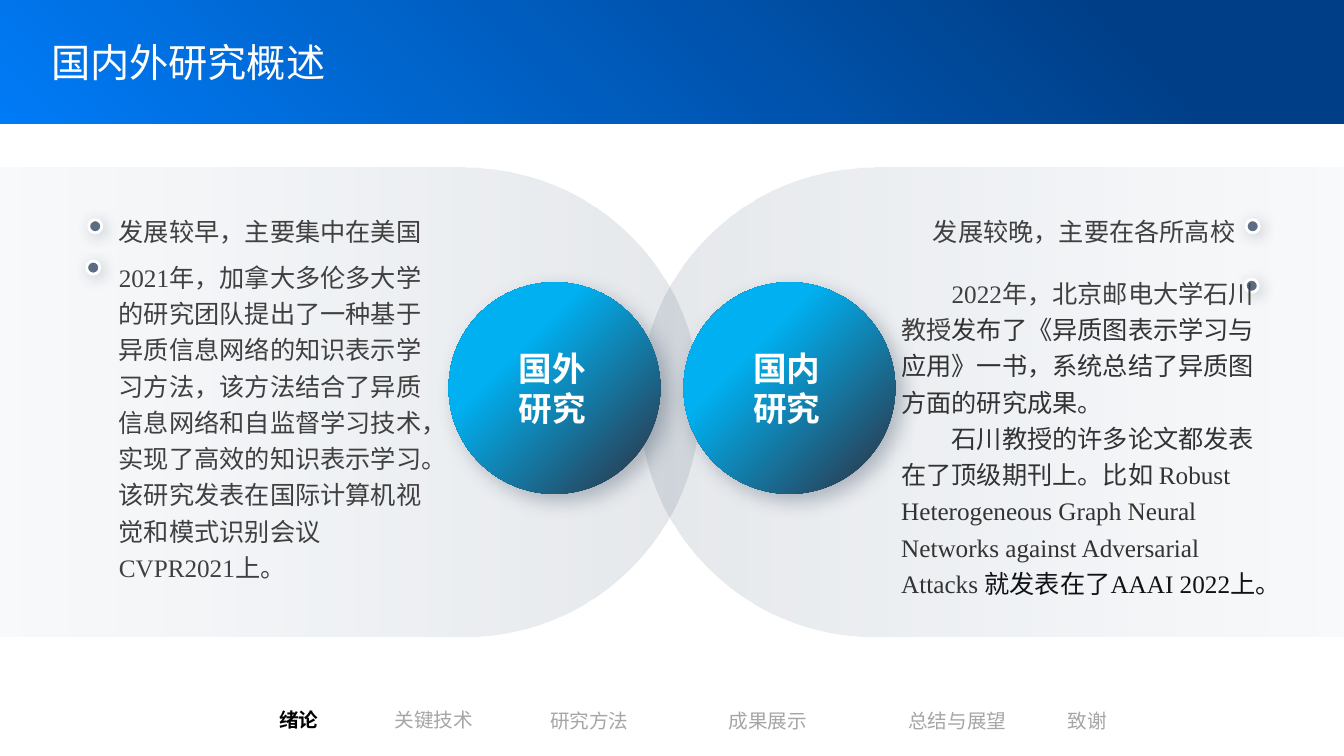
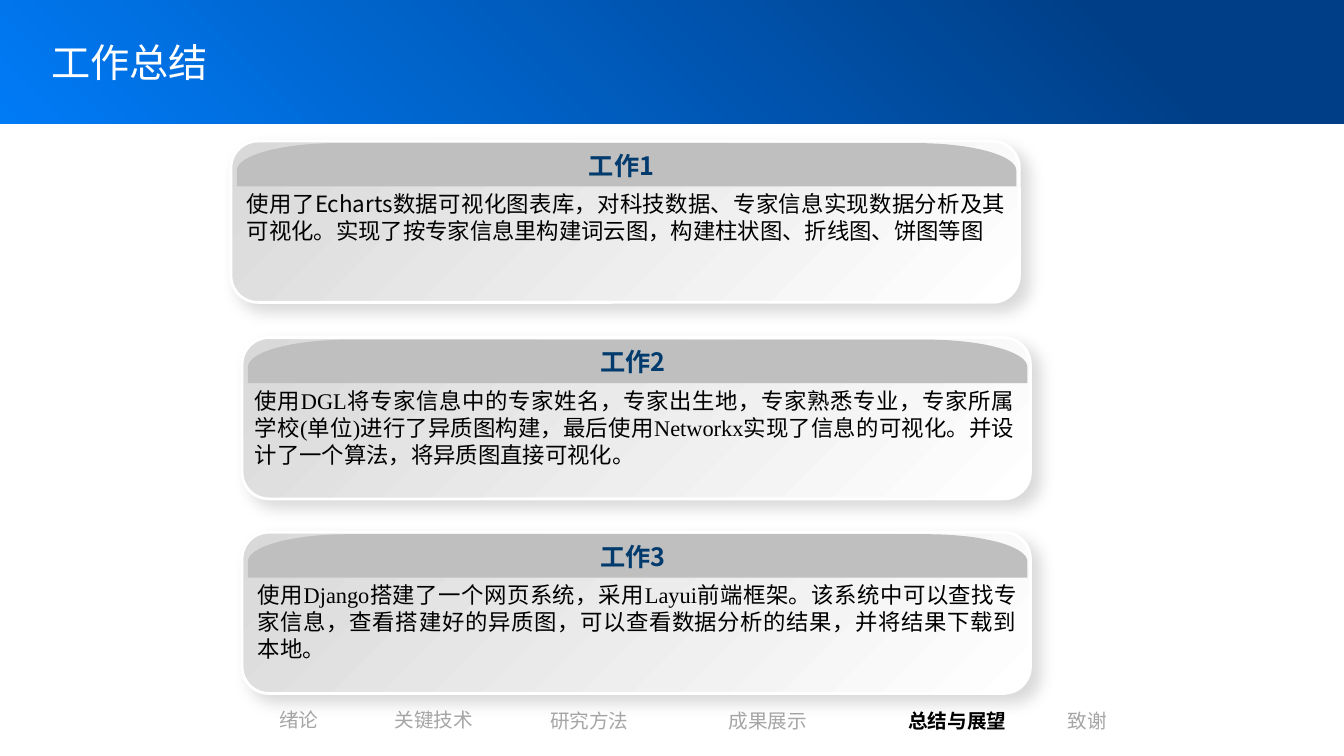
from dataclasses import dataclass
from math import cos, pi, sin

from pptx import Presentation
from pptx.dml.color import RGBColor
from pptx.enum.shapes import MSO_SHAPE
from pptx.enum.text import MSO_ANCHOR, MSO_AUTO_SIZE, PP_ALIGN
from pptx.oxml.ns import qn
from pptx.oxml.xmlchemy import OxmlElement
from pptx.util import Emu, Pt

RECTANGLE, ROUNDED, OVAL = MSO_SHAPE.RECTANGLE, MSO_SHAPE.ROUNDED_RECTANGLE, MSO_SHAPE.OVAL
LEFT, CENTER, RIGHT, JUSTIFY = PP_ALIGN.LEFT, PP_ALIGN.CENTER, PP_ALIGN.RIGHT, PP_ALIGN.JUSTIFY
TOP, MIDDLE = MSO_ANCHOR.TOP, MSO_ANCHOR.MIDDLE
FIT = MSO_AUTO_SIZE.SHAPE_TO_FIT_TEXT

EMU_PER_PX = 9144
SLIDE_WIDTH, SLIDE_HEIGHT = 1333, 750
SECTIONS = [("绪论", 267, 697), ("关键技术", 381, 697), ("研究方法", 535, 698),
            ("成果展示", 712, 698), ("总结与展望", 890, 698), ("致谢", 1049, 698)]


@dataclass(frozen=True)
class Theme:
    """Colours, fonts and type sizes."""
    white: str = "FFFFFF"
    black: str = "000000"
    band_dark: str = "003F88"
    band_light: str = "007BF6"
    panel_start: str = "6689B1"
    slate: str = "5B6C83"
    cyan: str = "00B0F0"
    navy: str = "2A3D52"
    body: str = "404040"
    quote: str = "333333"
    ink: str = "101214"
    muted: str = "A6A6A6"
    card_grey: str = "D9D9D9"
    cap_grey: str = "BFBFBF"
    heading: str = "013B6D"
    serif: str = "Times New Roman"
    sans: str = "Noto Sans CJK SC"
    title_font: str = "Arial"
    title_size: int = 28
    label_size: int = 24
    body_size: int = 18
    card_size: int = 16
    section_size: int = 14


THEME = Theme()


def px(length):
    """Turn pixels into EMU."""
    return Emu(round(length * EMU_PER_PX))


def rgb(colour):
    """Turn a hex string into a colour."""
    return RGBColor.from_string(colour)


def xml_child(parent, tag, **attributes):
    """Append an XML element with attributes."""
    child = OxmlElement(tag)
    for name, value in attributes.items():
        child.set(name, str(value))
    parent.append(child)
    return child


class Deck:
    """Holds the style, the current slide and the shapes being drawn into."""

    def __init__(self):
        """Start an empty presentation."""
        self.presentation = Presentation()
        self.presentation.slide_width = px(SLIDE_WIDTH)
        self.presentation.slide_height = px(SLIDE_HEIGHT)
        self.slide = None
        self.shapes = None

    def new_slide(self, title, title_font, section, section_font):
        """Add a slide with its title band and section footer."""
        self.slide = self.presentation.slides.add_slide(self.presentation.slide_layouts[6])
        self.end_group()
        band = self.shape(RECTANGLE, 0, 0, SLIDE_WIDTH, 123)
        self.gradient(band, [(17, THEME.band_dark), (100, THEME.band_light)], 135)
        self.text(41, 33, 295, 57, [title], THEME.title_size, THEME.white, title_font)
        self.start_group()
        for label, left, top in SECTIONS:
            active = label == section
            self.text(left, top, 20 * len(label) + 19, 34, [label], THEME.section_size,
                      THEME.black if active else THEME.muted, section_font,
                      bold=active, align=CENTER, wrap=False)
        self.end_group()

    def start_group(self):
        """Draw into a new group."""
        self.shapes = self.slide.shapes.add_group_shape().shapes

    def end_group(self):
        """Draw onto the slide itself."""
        self.shapes = self.slide.shapes

    def shape(self, kind, left, top, width, height, fill=None, line=None):
        """Add a preset shape without shadow."""
        shape = self.shapes.add_shape(kind, px(left), px(top), px(width), px(height))
        self.paint(shape, fill, line)
        return shape

    def paint(self, shape, fill=None, line=None):
        """Set a plain fill and line."""
        shape.shadow.inherit = False
        if fill:
            shape.fill.solid()
            shape.fill.fore_color.rgb = rgb(fill)
        if line:
            shape.line.color.rgb = rgb(line)
            shape.line.width = Pt(2)
        else:
            shape.line.fill.background()

    def gradient(self, shape, stops, angle=None, alphas=None):
        """Fill linearly at a clockwise angle, or radially from the top left."""
        shape.fill.gradient()
        for stop, (position, colour) in zip(shape.fill.gradient_stops, stops):
            stop.position = position / 100
            stop.color.rgb = rgb(colour)
        fill = shape.element.spPr.find(qn("a:gradFill"))
        for colour, alpha in zip(fill.iter(qn("a:srgbClr")), alphas or []):
            xml_child(colour, "a:alpha", val=alpha * 1000)
        if angle is None:
            fill.remove(fill.find(qn("a:lin")))
            radial = xml_child(fill, "a:path", path="circle")
            xml_child(radial, "a:fillToRect", r=100000, b=100000)
        else:
            shape.fill.gradient_angle = 360 - angle

    def drop_shadow(self, shape, colour, alpha, blur, distance):
        """Give a shape a soft shadow to the lower right."""
        effects = shape.element.spPr.find(qn("a:effectLst"))
        shadow = xml_child(effects, "a:outerShdw", blurRad=Pt(blur), dist=Pt(distance),
                           dir=45 * 60000, algn="tl", rotWithShape=0)
        tint = xml_child(shadow, "a:srgbClr", val=colour)
        xml_child(tint, "a:alpha", val=alpha * 1000)

    def text(self, left, top, width, height, paragraphs, size, colour, font=THEME.serif,
             bold=False, align=LEFT, spacing=None, indent=0, anchor=TOP, inset=True,
             wrap=True):
        """Add a text box; a paragraph is a string or a list of (text, colour)."""
        frame = self.shapes.add_textbox(px(left), px(top), px(width), px(height)).text_frame
        frame.word_wrap = wrap
        frame.auto_size = FIT
        frame.vertical_anchor = anchor
        if not inset:
            frame.margin_left = frame.margin_top = frame.margin_right = frame.margin_bottom = 0
        for index, content in enumerate(paragraphs):
            paragraph = frame.add_paragraph() if index else frame.paragraphs[0]
            paragraph.alignment = align
            if spacing:
                paragraph.line_spacing = spacing
            properties = paragraph._p.get_or_add_pPr()
            if indent:
                properties.set("indent", str(px(indent)))
            paragraph.font.size = Pt(size)
            paragraph.font.bold = bold
            paragraph.font.color.rgb = rgb(colour)
            paragraph.font.name = font
            xml_child(properties.find(qn("a:defRPr")), "a:ea", typeface=THEME.sans)
            if isinstance(content, str):
                paragraph.add_run().text = content
                continue
            for words, run_colour in content:
                run = paragraph.add_run()
                run.text = words
                run.font.color.rgb = rgb(run_colour)

    def body(self, left, top, width, height, paragraphs, **options):
        """Add body text with open line spacing."""
        self.text(left, top, width, height, paragraphs, THEME.body_size, THEME.body,
                  spacing=1.2, **options)

    def panel(self, left, flipped):
        """Add a translucent rounded panel that runs over the slide edge."""
        panel = self.shape(ROUNDED, left, 166, 967, 466)
        panel.adjustments[0] = 0.5
        self.gradient(panel, [(0, THEME.panel_start), (100, THEME.slate)], 0, alphas=[0, 16])
        if flipped:
            panel.element.spPr.find(qn("a:xfrm")).set("flipH", "1")

    def disc(self, left, lines):
        """Add a shaded disc with its label."""
        disc = self.shape(OVAL, left, 280, 210, 210)
        self.gradient(disc, [(32, THEME.cyan), (92, THEME.navy)])
        self.drop_shadow(disc, THEME.navy, 32, 15, 7)
        self.text(left + 39, 340, 127, 91, lines, THEME.label_size, THEME.white,
                  bold=True, align=CENTER)

    def dot(self, left, top):
        """Add a round marker."""
        dot = self.shape(OVAL, left, top, 13, 13, THEME.slate, THEME.white)
        self.drop_shadow(dot, THEME.navy, 24, 11, 3)

    def cap(self, left, top):
        """Add the domed top of a card."""
        width, height, radius_x, radius_y, steps = 773, 43, 99, 27, 16
        angles = [pi / 2 * step / steps for step in range(steps + 1)]
        right_arc = [(left + width - radius_x * (1 - sin(angle)),
                      top + radius_y * (1 - cos(angle))) for angle in angles]
        left_arc = [(2 * left + width - x, y) for x, y in reversed(right_arc)]
        bottom = [(left + width, top + height), (left, top + height)]
        points = [(px(x), px(y)) for x, y in right_arc + bottom + left_arc]
        builder = self.shapes.build_freeform(*points[0])
        builder.add_line_segments(points[1:], close=True)
        self.paint(builder.convert_to_shape(), THEME.cap_grey)

    def card(self, left, top, heading, content, font, body_offset):
        """Add a card with a domed heading and justified text."""
        self.start_group()
        plate = self.shape(ROUNDED, left, top, 782, 160, line=THEME.white)
        self.gradient(plate, [(0, THEME.white), (100, THEME.card_grey)], 225)
        self.drop_shadow(plate, THEME.black, 14, 11, 7)
        self.cap(left + 6, top + 2)
        self.text(left - 3, top + 9, 781, 30, [heading], THEME.body_size, THEME.heading,
                  THEME.sans, bold=True, align=CENTER, anchor=MIDDLE, inset=False)
        self.text(left + body_offset, top + 44, 773, 118, [content], THEME.card_size,
                  THEME.black, font, align=JUSTIFY)
        self.end_group()


def research_slide(deck):
    """Compare research abroad and at home."""
    deck.new_slide("国内外研究概述", THEME.serif, "绪论", THEME.serif)
    for left, flipped in [(-273, False), (634, True)]:
        deck.panel(left, flipped)
    for left, place in [(445, "国外"), (678, "国内")]:
        deck.disc(left, [place, "研究"])
    for left, top in [(88, 218), (86, 259), (1236, 218), (1235, 277)]:
        deck.dot(left, top)
    deck.body(108, 204, 323, 43, ["发展较早，主要集中在美国"])
    deck.body(108, 249, 323, 332, [
        "2021年，加拿大多伦多大学的研究团队提出了一种基于异质信息网络的知识表示学习方法，"
        "该方法结合了异质信息网络和自监督学习技术，实现了高效的知识表示学习。"
        "该研究发表在国际计算机视觉和模式识别会议CVPR2021上。"])
    deck.body(889, 204, 346, 43, ["发展较晚，主要在各所高校"], align=RIGHT)
    deck.body(884, 265, 374, 334, [
        [("2022年，北京邮电大学石川教授", THEME.body),
         ("发布了《异质图表示学习与应用》一书，系统总结了异质图方面的研究成果。", THEME.quote)],
        [("石川教授的许多论文都发表在了顶级期刊上。比如 Robust Heterogeneous Graph Neural "
          "Networks against Adversarial Attacks ", THEME.quote),
         ("就发表在了AAAI 2022上。", THEME.ink)]], indent=50)


def summary_slide(deck):
    """Sum up the three pieces of work."""
    deck.new_slide("工作总结", THEME.title_font, "总结与展望", THEME.sans)
    cards = [
        (229, 140, THEME.sans, 6,
         "使用了Echarts数据可视化图表库，对科技数据、专家信息实现数据分析及其可视化。"
         "实现了按专家信息里构建词云图，构建柱状图、折线图、饼图等图"),
        (240, 335, THEME.serif, 3,
         "使用DGL将专家信息中的专家姓名，专家出生地，专家熟悉专业，专家所属学校(单位)"
         "进行了异质图构建，最后使用Networkx实现了信息的可视化。"
         "并设计了一个算法，将异质图直接可视化。"),
        (240, 528, THEME.serif, 6,
         "使用Django搭建了一个网页系统，采用Layui前端框架。该系统中可以查找专家信息，"
         "查看搭建好的异质图，可以查看数据分析的结果，并将结果下载到本地。"),
    ]
    for number, (left, top, font, body_offset, content) in enumerate(cards, 1):
        deck.card(left, top, f"工作{number}", content, font, body_offset)


def main():
    """Build and save the presentation."""
    deck = Deck()
    research_slide(deck)
    summary_slide(deck)
    deck.presentation.save("out.pptx")


if __name__ == "__main__":
    main()
